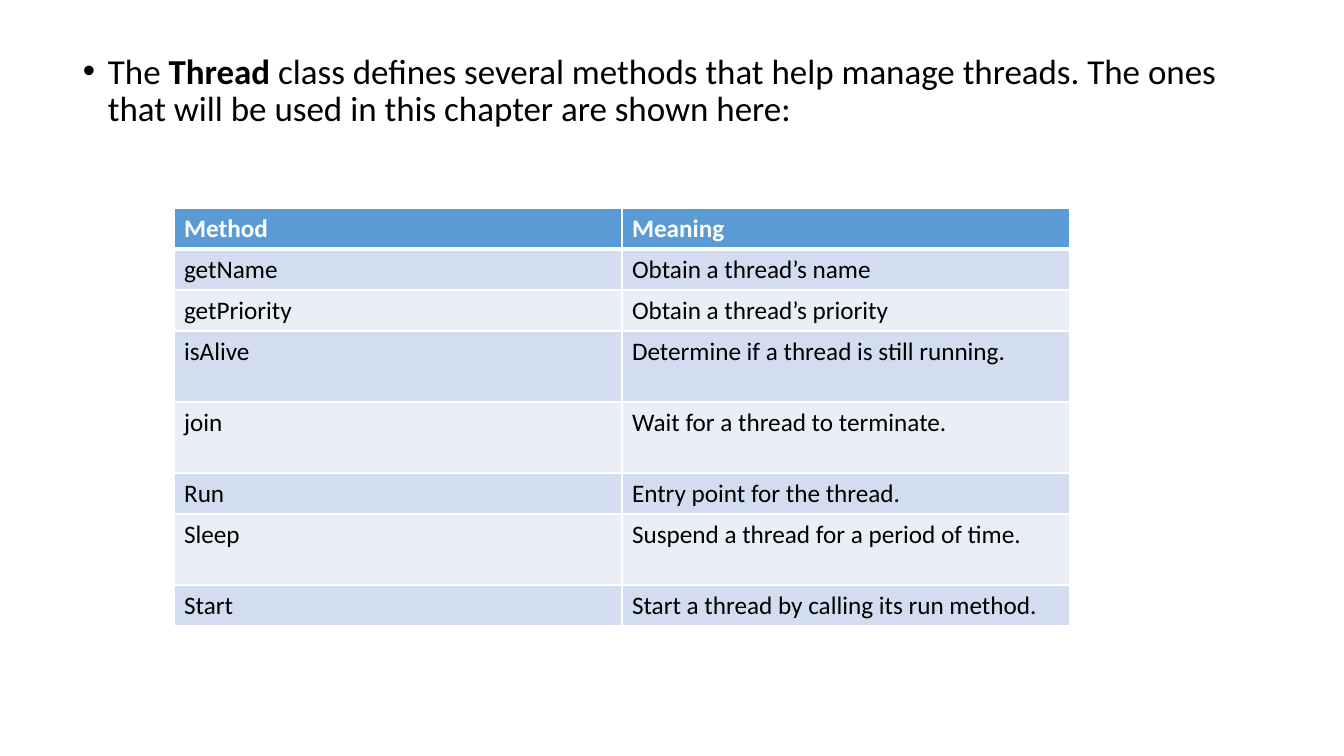
from pptx import Presentation
from pptx.dml.color import RGBColor
from pptx.enum.text import MSO_ANCHOR
from pptx.oxml.ns import qn
from pptx.util import Pt
from lxml.etree import SubElement

EMU_PER_PIXEL = 914400 / 100.8
FONT = "Calibri"
BLACK, WHITE = "000000", "FFFFFF"
HEADER_FILL = "5B9BD5"
BAND_FILLS = ("D2DEEF", "EAEFF7")
SHORT, TALL = 41, 71

INTRO = (
    ("The ", False),
    ("Thread ", True),
    ("class defines several methods that help manage threads. The ones "
     "that will be used in this chapter are shown here:", False),
)
METHODS = (
    ("Method", "Meaning", SHORT),
    ("getName", "Obtain a thread’s name", SHORT),
    ("getPriority", "Obtain a thread’s priority", SHORT),
    ("isAlive", "Determine if a thread is still running.", TALL),
    ("join", "Wait for a thread to terminate.", TALL),
    ("Run", "Entry point for the thread.", SHORT),
    ("Sleep", "Suspend a thread for a period of time.", TALL),
    ("Start", "Start a thread by calling its run method.", SHORT),
)


def px(pixels):
    return round(pixels * EMU_PER_PIXEL)


def color(hex_string):
    return RGBColor.from_string(hex_string)


def style_font(font, size, hex_string, bold=False):
    font.name = FONT
    font.size = Pt(size)
    font.bold = bold
    font.color.rgb = color(hex_string)


def add_bullet(para, indent):
    properties = para._p.get_or_add_pPr()
    properties.set("marL", str(px(indent)))
    properties.set("indent", str(-px(indent)))
    SubElement(properties, qn("a:buFont"), typeface="Arial")
    SubElement(properties, qn("a:buChar"), char="•")


def add_intro(page, left, top, width, height):
    box = page.shapes.add_textbox(px(left), px(top), px(width), px(height))
    frame = box.text_frame
    frame.word_wrap = True
    frame.vertical_anchor = MSO_ANCHOR.TOP
    para = frame.paragraphs[0]
    para.line_spacing = 0.9
    para.space_before = Pt(10)
    add_bullet(para, 25)
    for text, bold in INTRO:
        span = para.add_run()
        span.text = text
        style_font(span.font, 25, BLACK, bold)


def add_borders(cell, bottom_width):
    properties = cell._tc.get_or_add_tcPr()
    widths = {"a:lnL": 1, "a:lnR": 1, "a:lnT": 1, "a:lnB": bottom_width}
    for position, (tag, width) in enumerate(widths.items()):
        line = SubElement(properties, qn(tag), w=str(Pt(width)))
        fill = SubElement(line, qn("a:solidFill"))
        SubElement(fill, qn("a:srgbClr"), val=WHITE)
        properties.insert(position, line)


def add_method_table(page, left, top, width):
    height = sum(row_height for *_, row_height in METHODS)
    frame = page.shapes.add_table(
        len(METHODS), 2, px(left), px(top), px(width), px(height))
    table = frame.table
    for column in table.columns:
        column.width = px(width / 2)
    for index, (*texts, row_height) in enumerate(METHODS):
        header = index == 0
        fill = HEADER_FILL if header else BAND_FILLS[(index - 1) % 2]
        table.rows[index].height = px(row_height)
        for cell, text in zip(table.rows[index].cells, texts):
            cell.text_frame.text = text
            span = cell.text_frame.paragraphs[0].runs[0]
            style_font(span.font, 18, WHITE if header else BLACK, header)
            cell.fill.solid()
            cell.fill.fore_color.rgb = color(fill)
            add_borders(cell, 3 if header else 1)


deck = Presentation()
deck.slide_width, deck.slide_height = px(1344), px(756)
page = deck.slides.add_slide(deck.slide_layouts[6])
add_intro(page, 73, 49, 1159, 480)
add_method_table(page, 174, 208, 896)
deck.save("out.pptx")
